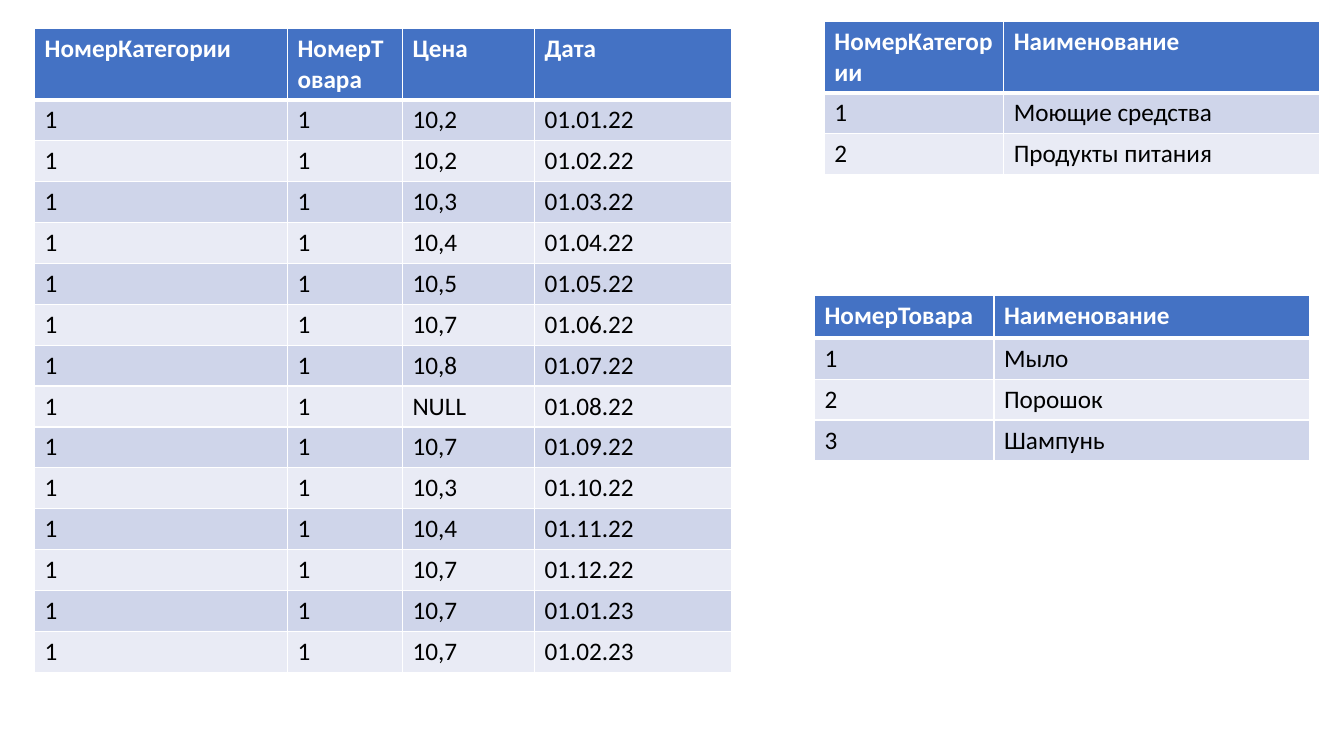
from lxml.etree import SubElement
from pptx import Presentation
from pptx.dml.color import RGBColor
from pptx.oxml.ns import qn
from pptx.util import Pt

FONT, SIZE = "Calibri", 18
WHITE, BLACK = "FFFFFF", "000000"
HEADER_FILL = "4472C4"
BAND_FILLS = ("CFD5EA", "E9EBF5")
ROW_HEIGHT = 29.2
LOOKUP_WIDTHS = (128.2, 225.4)

PRICES = ("10,2", "10,2", "10,3", "10,4", "10,5", "10,7", "10,8",
          "NULL", "10,7", "10,3", "10,4", "10,7", "10,7", "10,7")


def rgb(color):
    return RGBColor.from_string(color)


def set_borders(cell, top, bottom):
    """Draw white borders; they must come before the fill in the cell's XML."""
    tcPr = cell._tc.get_or_add_tcPr()
    for side, width in (("L", 1), ("R", 1), ("T", top), ("B", bottom)):
        ln = SubElement(tcPr, qn(f"a:ln{side}"), w=str(Pt(width)))
        fill = SubElement(ln, qn("a:solidFill"))
        SubElement(fill, qn("a:srgbClr"), val=WHITE)


def style_cell(cell, text, row):
    header = row == 0
    set_borders(cell, top=3 if row == 1 else 1, bottom=3 if header else 1)
    cell.fill.solid()
    cell.fill.fore_color.rgb = rgb(HEADER_FILL if header else BAND_FILLS[(row - 1) % 2])
    cell.text_frame.text = text
    font = cell.text_frame.paragraphs[0].runs[0].font
    font.name, font.size, font.bold = FONT, Pt(SIZE), header
    font.color.rgb = rgb(WHITE if header else BLACK)


def add_data_table(slide, left, top, widths, header_height, rows):
    heights = [header_height] + [ROW_HEIGHT] * (len(rows) - 1)
    table = slide.shapes.add_table(len(rows), len(widths), Pt(left), Pt(top),
                                   Pt(sum(widths)), Pt(sum(heights))).table
    for column, width in zip(table.columns, widths):
        column.width = Pt(width)
    for r, (height, texts) in enumerate(zip(heights, rows)):
        table.rows[r].height = Pt(height)
        for c, text in enumerate(texts):
            style_cell(table.cell(r, c), text, r)


def main():
    prs = Presentation()
    prs.slide_width, prs.slide_height = Pt(960), Pt(540)
    slide = prs.slides.add_slide(prs.slide_layouts[6])

    prices = [("НомерКатегории", "НомерТовара", "Цена", "Дата")]
    for month, price in enumerate(PRICES):
        date = f"01.{month % 12 + 1:02}.{22 + month // 12}"
        prices.append(("1", "1", price, date))
    add_data_table(slide, 24.7, 20.2, (180.7, 82.1, 94.3, 141.1), 51.1, prices)

    categories = [("НомерКатегории", "Наименование"),
                  ("1", "Моющие средства"), ("2", "Продукты питания")]
    add_data_table(slide, 588.8, 15.2, LOOKUP_WIDTHS, 51.1, categories)

    products = [("НомерТовара", "Наименование"),
                ("1", "Мыло"), ("2", "Порошок"), ("3", "Шампунь")]
    add_data_table(slide, 581.8, 210.8, LOOKUP_WIDTHS, 30.8, products)

    prs.save("out.pptx")


if __name__ == "__main__":
    main()
